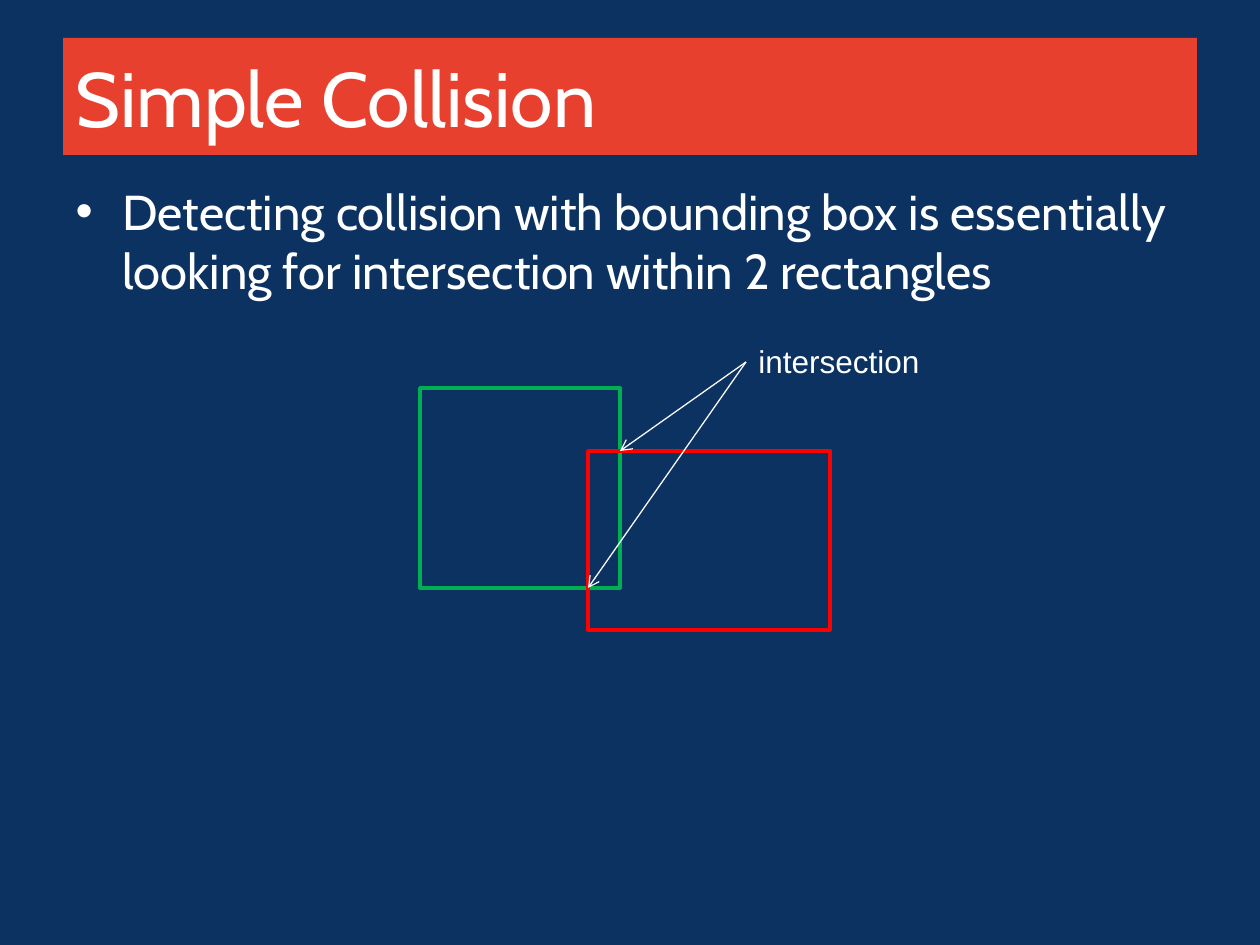
from pptx import Presentation
from pptx.dml.color import RGBColor
from pptx.enum.shapes import MSO_CONNECTOR as Connector, MSO_SHAPE as Shape
from pptx.enum.text import MSO_ANCHOR as Anchor, PP_ALIGN as Align
from pptx.oxml.ns import qn
from pptx.util import Pt
from lxml.etree import SubElement

HEADING = "Simple Collision"
POINT = ("Detecting collision with bounding box is essentially "
         "looking for intersection within 2 rectangles")
CALLOUT = "intersection"
WHITE, NAVY, ORANGE, ARROW = "FFFFFF", "0B3261", "E8402E", "F9F9F9"
GREEN_BOX = (420, 388, 200, 200)
RED_BOX = (588, 451, 242, 179)
BOXES = [(GREEN_BOX, "00B050"), (RED_BOX, "FF0000")]
ARROW_START = (746, 362)
CROSSINGS = [
    (GREEN_BOX[0] + GREEN_BOX[2], RED_BOX[1]),
    (RED_BOX[0], GREEN_BOX[1] + GREEN_BOX[3]),
]
HEADING_AREA = (63, 38, 1134, 117)
POINT_AREA = (63, 175, 1134, 735)
CALLOUT_AREA = (746, 336, 188, 50)
INDENT = 47
SCALE = 914400 // 126


def px(*lengths):
    return [round(length * SCALE) for length in lengths]


def color(value):
    return RGBColor.from_string(value)


def paint(fill, value):
    fill.solid()
    fill.fore_color.rgb = color(value)


def place(part, area):
    part.left, part.top, part.width, part.height = px(*area)


def write(part, text, size, face, **frame_format):
    frame = part.text_frame
    frame.text = text
    for key, value in frame_format.items():
        setattr(frame, key, value)
    paragraph = frame.paragraphs[0]
    paragraph.alignment = Align.LEFT
    font = paragraph.runs[0].font
    for key, value in {"size": Pt(size), "name": face}.items():
        setattr(font, key, value)
    font.color.rgb = color(WHITE)
    return paragraph


deck = Presentation()
deck.slide_width, deck.slide_height = px(1260, 945)
slide = deck.slides.add_slide(deck.slide_layouts[1])
paint(slide.background.fill, NAVY)

heading, point = slide.placeholders
place(heading, HEADING_AREA)
paint(heading.fill, ORANGE)
write(heading, HEADING, 44, "Cabin", vertical_anchor=Anchor.MIDDLE, word_wrap=True)

place(point, POINT_AREA)
bullet = write(point, POINT, 28, "Cabin", vertical_anchor=Anchor.TOP, word_wrap=True)
bullet.space_before = Pt(5.6)
props = bullet._p.get_or_add_pPr()
props.set("marL", str(INDENT * SCALE))
props.set("indent", str(-INDENT * SCALE))
SubElement(props, qn("a:buFont"), typeface="Arial")
SubElement(props, qn("a:buChar"), char="•")

for area, outline in BOXES:
    box = slide.shapes.add_shape(Shape.RECTANGLE, *px(*area))
    box.shadow.inherit = False
    box.fill.background()
    box.line.color.rgb = color(outline)
    box.line.width = Pt(2)

for crossing in CROSSINGS:
    arrow = slide.shapes.add_connector(Connector.STRAIGHT, *px(*ARROW_START, *crossing))
    arrow.line.color.rgb = color(ARROW)
    arrow.line.width = Pt(0.75)
    SubElement(arrow.line._get_or_add_ln(), qn("a:tailEnd"), type="arrow")
    SubElement(arrow._element.spPr, qn("a:effectLst"))

callout = slide.shapes.add_textbox(*px(*CALLOUT_AREA))
write(callout, CALLOUT, 18, "Arial", word_wrap=False)

deck.save("out.pptx")
